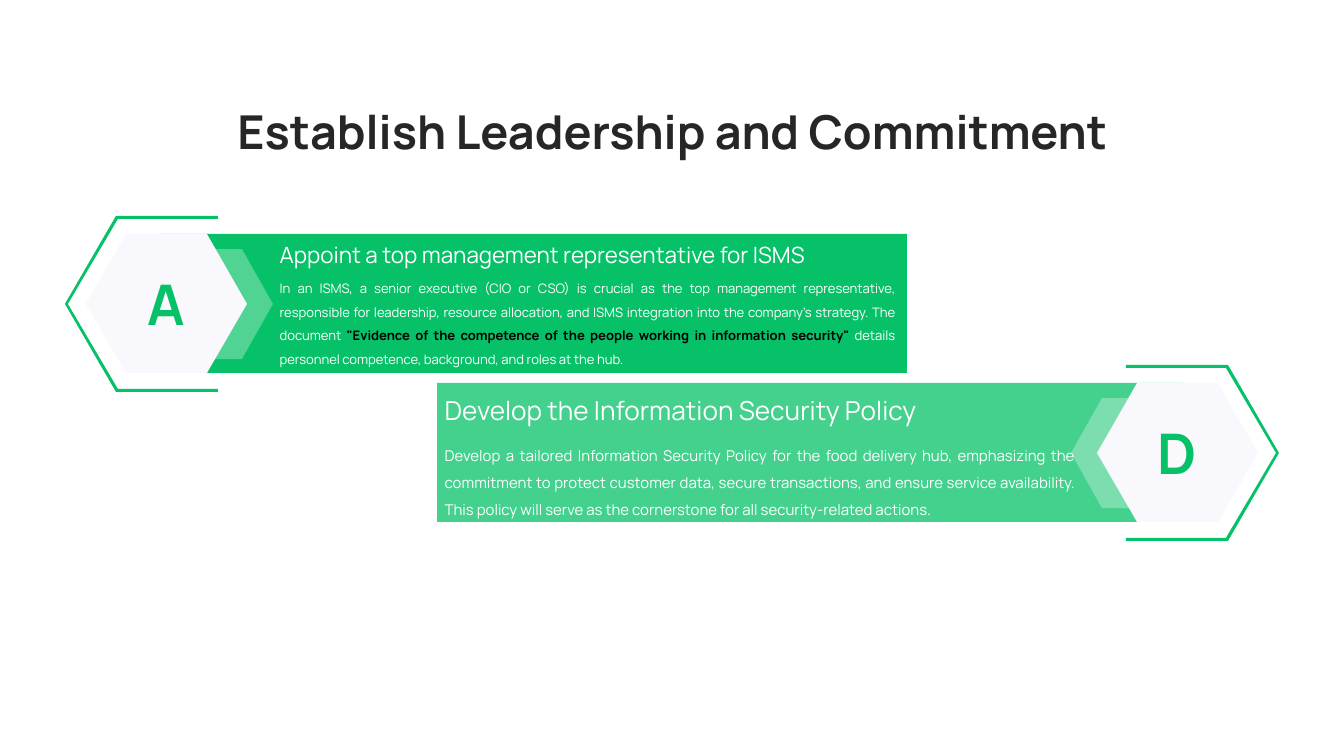
from dataclasses import dataclass

from lxml import etree
from pptx import Presentation
from pptx import util as u
from pptx.dml.color import RGBColor
from pptx.enum import shapes, text
from pptx.oxml.ns import qn

PX = 914400 / 134.4  # EMU in one px
WIDTH, HEIGHT = 1344, 756
ROW_STEP = 149


@dataclass(frozen=True)
class Theme:
    font: str = "Manrope"
    green: str = "06C167"
    white: str = "FFFFFF"
    pale: str = "F9F8FD"
    ink: str = "262626"
    black: str = "000000"
    title: int = 25
    letter: int = 30
    policy_heading: int = 14
    policy_body: int = 8
    lead_heading: int = 12
    lead_body: int = 7


T = Theme()

# Outlines of the left-hand badge
CHEVRON = [(204, 249), (204, 359), (242, 359), (273, 304), (242, 249)]
BRACKET = [(116, 216), (65, 304), (116, 392), (218, 392), (218, 389),
           (118, 389), (68, 304), (118, 219), (218, 219), (218, 216)]
HEXAGON = [(126, 234), (86, 304), (126, 373), (207, 373), (247, 304), (207, 234)]


def emu(*lengths):
    return [u.Emu(round(n * PX)) for n in lengths]


def paint(sp, color, alpha=100):
    sp.shadow.inherit = False
    sp.line.fill.background()
    sp.fill.solid()
    sp.fill.fore_color.rgb = RGBColor.from_string(color)
    if alpha < 100:
        clr = sp.fill._xPr.find(".//" + qn("a:srgbClr"))
        etree.SubElement(clr, qn("a:alpha")).set("val", str(alpha * 1000))
    return sp


def write(tf, runs, size, color=T.white, bold=False, align="LEFT", spacing=None):
    """Fill one paragraph; runs is a string or (text, color, bold) tuples."""
    if isinstance(runs, str):
        runs = [(runs, color, bold)]
    p = tf.paragraphs[0]
    p.alignment = text.PP_ALIGN[align]
    if spacing:
        p.line_spacing = spacing
    for words, run_color, run_bold in runs:
        r = p.add_run()
        r.text = words
        r.font.name, r.font.size, r.font.bold = T.font, u.Pt(size), run_bold
        r.font.color.rgb = RGBColor.from_string(run_color)


def add_text(s, box, runs, size, **fmt):
    tf = s.shapes.add_textbox(*emu(*box)).text_frame
    tf.word_wrap = True
    tf.margin_left = tf.margin_right = u.Inches(0.05)
    tf.margin_top = tf.margin_bottom = u.Inches(0.02)
    write(tf, runs, size, **fmt)


def add_outline(s, points, color, alpha=100):
    fb = s.shapes.build_freeform(*points[0], scale=PX)
    fb.add_line_segments(points[1:], close=True)
    return paint(fb.convert_to_shape(), color, alpha)


def add_row(s, letter, row, mirrored=False, alpha=100):
    """Draw a band with its lettered badge, flipped across the slide if mirrored."""
    dy = row * ROW_STEP

    def place(points):
        return [(WIDTH - x if mirrored else x, y + dy) for x, y in points]

    left, width = 161, 746
    if mirrored:
        left = WIDTH - left - width
    band = s.shapes.add_shape(shapes.MSO_SHAPE.RECTANGLE, *emu(left, 234 + dy, width, 139))
    paint(band, T.green, alpha)
    add_outline(s, place(CHEVRON), T.white, 30)
    add_outline(s, place(BRACKET), T.green)
    tf = add_outline(s, place(HEXAGON), T.pale).text_frame
    tf.vertical_anchor = text.MSO_ANCHOR.MIDDLE
    tf.margin_left = tf.margin_right = tf.margin_top = tf.margin_bottom = u.Inches(0.1)
    write(tf, letter, T.letter, color=T.green, bold=True, align="CENTER")


def main():
    prs = Presentation()
    prs.slide_width, prs.slide_height = emu(WIDTH, HEIGHT)
    s = prs.slides.add_slide(prs.slide_layouts[6])

    # Bands and badges
    add_row(s, "A", 0)
    add_row(s, "D", 1, mirrored=True, alpha=75)

    # Policy text
    add_text(s, (438, 435, 645, 79),
             "Develop a tailored Information Security Policy for the food delivery hub, "
             "emphasizing the commitment to protect customer data, secure transactions, "
             "and ensure service availability. This policy will serve as the cornerstone "
             "for all security-related actions.", T.policy_body, align="JUSTIFY", spacing=1.5)
    add_text(s, (438, 392, 645, 39), "Develop the Information Security Policy",
             T.policy_heading)

    # Representative text
    add_text(s, (273, 270, 629, 94), [
        ("In an ISMS, a senior executive (CIO or CSO) is crucial as the top management "
         "representative, responsible for leadership, resource allocation, and ISMS "
         "integration into the company's strategy. The document ", T.white, False),
        ('"Evidence of the competence of the people working in information security"',
         T.black, True),
        (" details personnel competence, background, and roles at the hub.", T.white, False),
    ], T.lead_body, align="JUSTIFY", spacing=1.5)
    add_text(s, (273, 238, 746, 34), "Appoint a top management representative for ISMS",
             T.lead_heading)

    # Title
    add_text(s, (62, 100, 1220, 63), "Establish Leadership and Commitment", T.title,
             color=T.ink, bold=True, align="CENTER")
    prs.save("out.pptx")


if __name__ == "__main__":
    main()
